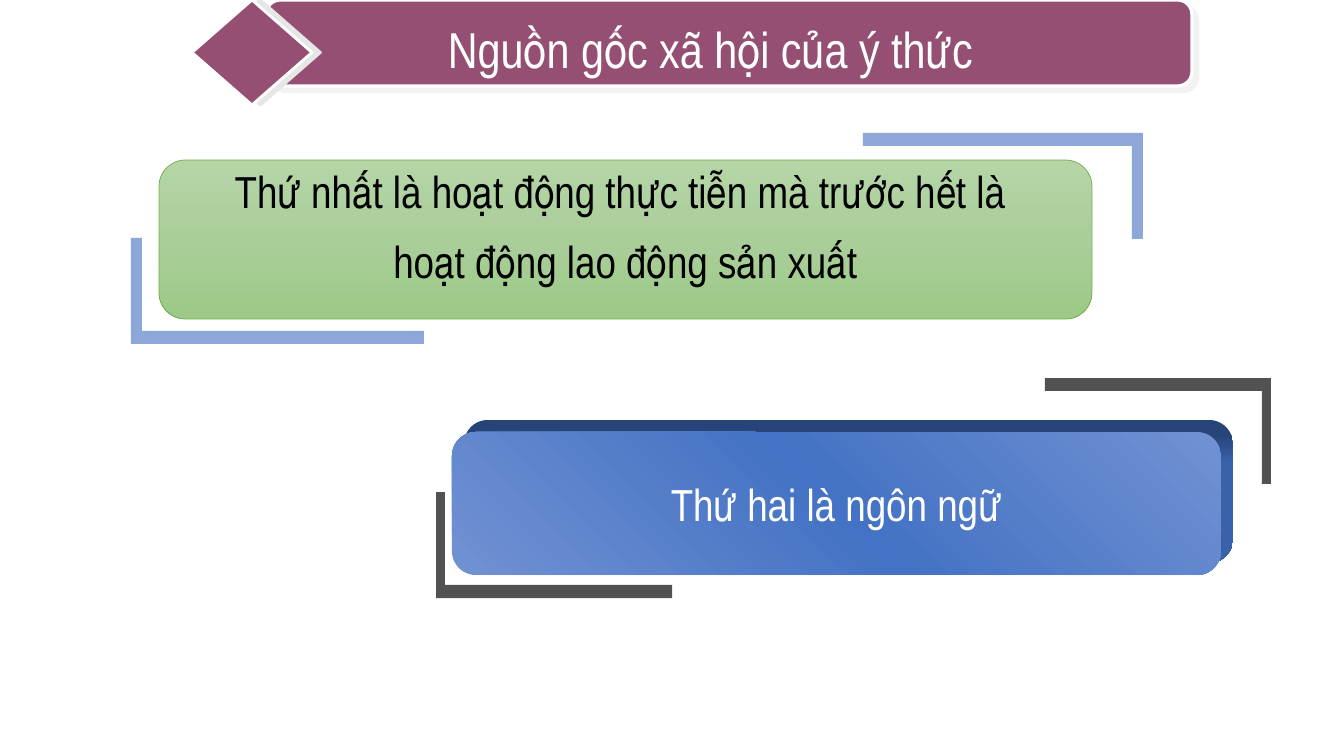
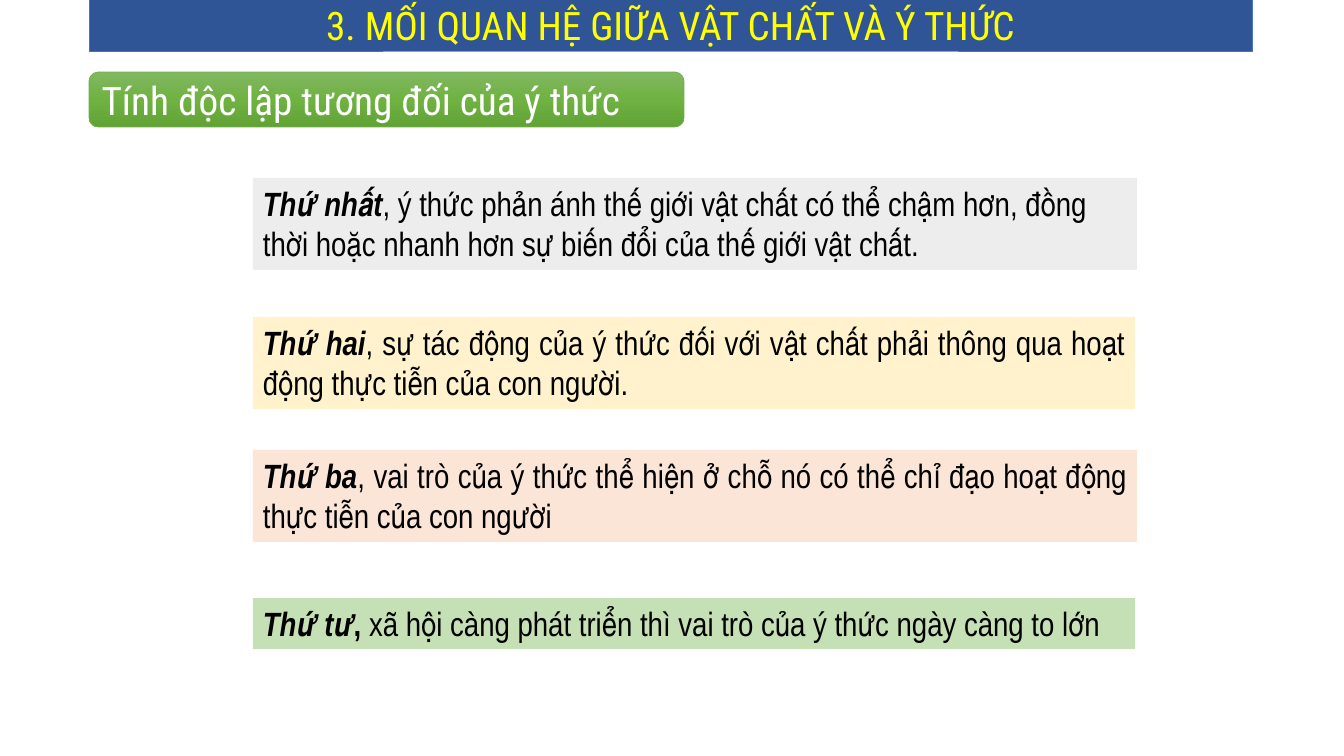
import lxml.etree
import pptx
import pptx.dml.color
import pptx.enum.shapes
import pptx.enum.text
import pptx.oxml.ns
import pptx.util

PX = 914400 / 100.8
SHAPE = pptx.enum.shapes.MSO_SHAPE
ALIGN = pptx.enum.text.PP_ALIGN
ANCHOR = pptx.enum.text.MSO_ANCHOR
NARROW, CONDENSED = "Arial Narrow", "Roboto Condensed"
WHITE, BLACK, YELLOW = "FFFFFF", "000000", "FFFF00"
PLUM, NAVY, BLUE, GREEN, SHADE = "954F72", "2F5597", "4472C4", "70AD47", "E7E6E6"


def px(*lengths):
    """Turn px lengths into EMU."""
    return [pptx.util.Emu(round(n * PX)) for n in lengths]


def rgb(value):
    """Turn a hex string into a colour."""
    return pptx.dml.color.RGBColor.from_string(value)


def child(parent, tag, **attrs):
    """Add a DrawingML element under parent."""
    return lxml.etree.SubElement(parent, pptx.oxml.ns.qn("a:" + tag), attrs)


def paint(sp, fill, line=None, width=0.5, alpha=None):
    """Give a shape a solid fill, or a gradient from (angle, stops), and an outline."""
    if isinstance(fill, str):
        sp.fill.solid()
        sp.fill.fore_color.rgb = rgb(fill)
        if alpha:
            color = sp.fill._xPr.find(".//" + pptx.oxml.ns.qn("a:srgbClr"))
            child(color, "alpha", val=str(alpha * 1000))
    else:
        angle, stops = fill
        sp.fill.gradient()
        sp.fill.gradient_angle = (360 - angle) % 360
        stop_list = sp.fill._xPr.find(".//" + pptx.oxml.ns.qn("a:gsLst"))
        for stop in list(stop_list):
            stop_list.remove(stop)
        for pos, value in stops:
            child(child(stop_list, "gs", pos=str(pos * 1000)), "srgbClr", val=value)
    if line:
        sp.line.color.rgb = rgb(line)
        sp.line.width = pptx.util.Pt(width)
    else:
        sp.line.fill.background()


def add_box(s, kind, box, fill, line=None, width=0.5):
    """Add a preset shape without shadow."""
    sp = s.shapes.add_shape(kind, *px(*box))
    sp.shadow.inherit = False
    paint(sp, fill, line, width)
    return sp


def add_shadow(sp, distance, angle, alpha):
    """Add a hard grey shadow, with distance in points."""
    effects = sp._element.spPr.find(pptx.oxml.ns.qn("a:effectLst"))
    shadow = child(effects, "outerShdw", dist=str(round(distance * 12700)),
                   dir=str(angle * 60000), algn="ctr", rotWithShape="0")
    child(child(shadow, "srgbClr", val=SHADE), "alpha", val=str(alpha * 1000))


def write(sp, lines, size, font, color, align=ALIGN.LEFT, anchor=ANCHOR.MIDDLE, wrap=True):
    """Write lines of (text, bold, italic) runs and return the paragraphs."""
    tf = sp.text_frame
    tf.word_wrap = wrap
    tf.auto_size = pptx.enum.text.MSO_AUTO_SIZE.NONE
    tf.vertical_anchor = anchor
    for i, runs in enumerate(lines):
        p = tf.add_paragraph() if i else tf.paragraphs[0]
        p.alignment = align
        for text, bold, italic in runs:
            r = p.add_run()
            r.text = text
            r.font.name, r.font.size = font, pptx.util.Pt(size)
            r.font.bold, r.font.italic = bold, italic
            r.font.color.rgb = rgb(color)
    return tf.paragraphs


def plain(text):
    """Make a line with one plain run."""
    return [(text, False, False)]


def set_title(s, box, text, size, font, color, anchor=ANCHOR.MIDDLE):
    """Move the title placeholder to the box, in front, and fill it in."""
    sp = s.shapes.title
    sp.left, sp.top, sp.width, sp.height = px(*box)
    s.shapes._spTree.append(sp._element)
    write(sp, [plain(text)], size, font, color, ALIGN.CENTER, anchor)
    return sp


def diamond_title(s, box, text):
    """Draw a rounded title bar with a diamond at its left end."""
    x, y, w, h = box
    bar = add_box(s, SHAPE.ROUNDED_RECTANGLE, (x + 74, y, w - 74, 86), PLUM, WHITE, 2.25)
    add_shadow(bar, 5.7, 45, 50)
    diamond = add_box(s, SHAPE.DIAMOND, (x, y, 120, h), PLUM, WHITE, 2)
    add_shadow(diamond, 6, 0, 100)
    set_title(s, (x + 134, y + 13, 769, 72), text, 36, NARROW, WHITE, ANCHOR.TOP)


def bracket(s, corner, w, post, direction, color, alpha):
    """Draw an L-shaped bracket that runs from its corner in a direction."""
    x, y = corner
    h, bar = 106, 13
    outline = [(0, h), (post, h), (post, bar), (w, bar), (w, 0), (0, 0)]
    points = [(x + direction * dx, y - direction * dy) for dx, dy in outline]
    builder = s.shapes.build_freeform(*points[0], scale=PX)
    builder.add_line_segments(points[1:], close=True)
    sp = builder.convert_to_shape()
    sp.shadow.inherit = False
    paint(sp, color, alpha=alpha)


def brackets(s, box, widths, post, color, alpha):
    """Draw brackets at the bottom left and top right of the box."""
    x, y, w, h = box
    bracket(s, (x, y + h), widths[0], post, 1, color, alpha)
    bracket(s, (x + w, y), widths[1], post, -1, color, alpha)


def green_item(s, box, lines):
    """Draw the bracketed green card."""
    x, y, w, h = box
    brackets(s, box, (293, 280), 11, "1A50B2", 50)
    fill = (90, [(0, "B5D5A7"), (50, "AACE9A"), (100, "9CC987")])
    card = add_box(s, SHAPE.ROUNDED_RECTANGLE, (x + 28, y + 27, w - 79, h - 52), fill, GREEN)
    paragraphs = write(card, [plain(t) for t in lines], 32, NARROW, BLACK,
                       ALIGN.CENTER, wrap=False)
    for i, p in enumerate(paragraphs):
        p.line_spacing = pptx.util.Pt(19)
        p.space_before = pptx.util.Pt(25 if i else 0)
        p.space_after = pptx.util.Pt(6)


def blue_item(s, box, text):
    """Draw the bracketed blue card with depth at its top and right."""
    x, y, w, h = box
    brackets(s, box, (236, 226), 9, BLACK, 68)
    depth = 12
    left, top, width, height = x + 16, y + 54, w - 66, h - 77
    side = (90, [(0, "264478"), (10, "264478"), (30, "3A62AB"), (100, "3A62AB")])
    face = (315, [(0, "7192D2"), (50, BLUE), (100, "7192D2")])
    add_box(s, SHAPE.ROUNDED_RECTANGLE, (left + depth, top - depth, width, height), side)
    card = add_box(s, SHAPE.ROUNDED_RECTANGLE, (left, top, width, height), face)
    write(card, [plain(text)], 32, NARROW, WHITE, ALIGN.CENTER, wrap=False)


def band_title(s, box, text):
    """Turn the title into a blue band."""
    sp = set_title(s, box, text, 28, CONDENSED, YELLOW)
    paint(sp, NAVY, BLUE)


def subtitle(s, box, text):
    """Draw the green subtitle tab."""
    fill = (90, [(0, "81B861"), (50, "6FB242"), (100, "62A336")])
    tab = add_box(s, SHAPE.ROUNDED_RECTANGLE, box, fill, GREEN)
    write(tab, [plain(text)], 28, CONDENSED, WHITE)


def point(s, box, fill, runs, align):
    """Draw one filled text box."""
    sp = s.shapes.add_textbox(*px(*box))
    paint(sp, fill)
    write(sp, [runs], 24, NARROW, BLACK, align, ANCHOR.TOP)


def origin_slide(s):
    """Build the slide on the social origin of consciousness."""
    diamond_title(s, (192, 0, 1000, 105), "Nguồn gốc xã hội của ý thức")
    green_item(s, (131, 133, 1012, 211), ["Thứ nhất là hoạt động thực tiễn mà trước hết là ",
                                          "hoạt động lao động sản xuất"])
    blue_item(s, (436, 378, 835, 220), "Thứ hai là ngôn ngữ")


def relation_slide(s):
    """Build the slide on matter and consciousness."""
    band_title(s, (89, -2, 1163, 53), "3. MỐI QUAN HỆ GIỮA VẬT CHẤT VÀ Ý THỨC")
    subtitle(s, (89, 72, 595, 55), "Tính độc lập tương đối của ý thức")
    points = [
        (178, 884, 92, "EDEDED", ALIGN.LEFT, "Thứ nhất",
         ", ý thức phản ánh thế giới vật chất có thể chậm hơn, đồng thời hoặc nhanh hơn "
         "sự biến đổi của thế giới vật chất."),
        (317, 882, 92, "FFF2CC", ALIGN.JUSTIFY, "Thứ hai",
         ", sự tác động của ý thức đối với vật chất phải thông qua hoạt động thực tiễn "
         "của con người."),
        (450, 884, 92, "FBE5D6", ALIGN.JUSTIFY, "Thứ ba",
         ", vai trò của ý thức thể hiện ở chỗ nó có thể chỉ đạo hoạt động thực tiễn "
         "của con người"),
    ]
    for top, w, h, fill, align, lead, rest in points:
        point(s, (253, top, w, h), fill, [(lead, True, True), (rest, False, False)], align)
    point(s, (253, 598, 882, 51), "C5E0B4",
          [("Thứ tư", True, True), (", ", True, False),
           ("xã hội càng phát triển thì vai trò của ý thức ngày càng to lớn", False, False)],
          ALIGN.LEFT)


def main():
    """Build and save the presentation."""
    prs = pptx.Presentation()
    prs.slide_width, prs.slide_height = px(1344, 756)
    for build in (origin_slide, relation_slide):
        build(prs.slides.add_slide(prs.slide_layouts[5]))
    prs.save("out.pptx")


if __name__ == "__main__":
    main()
